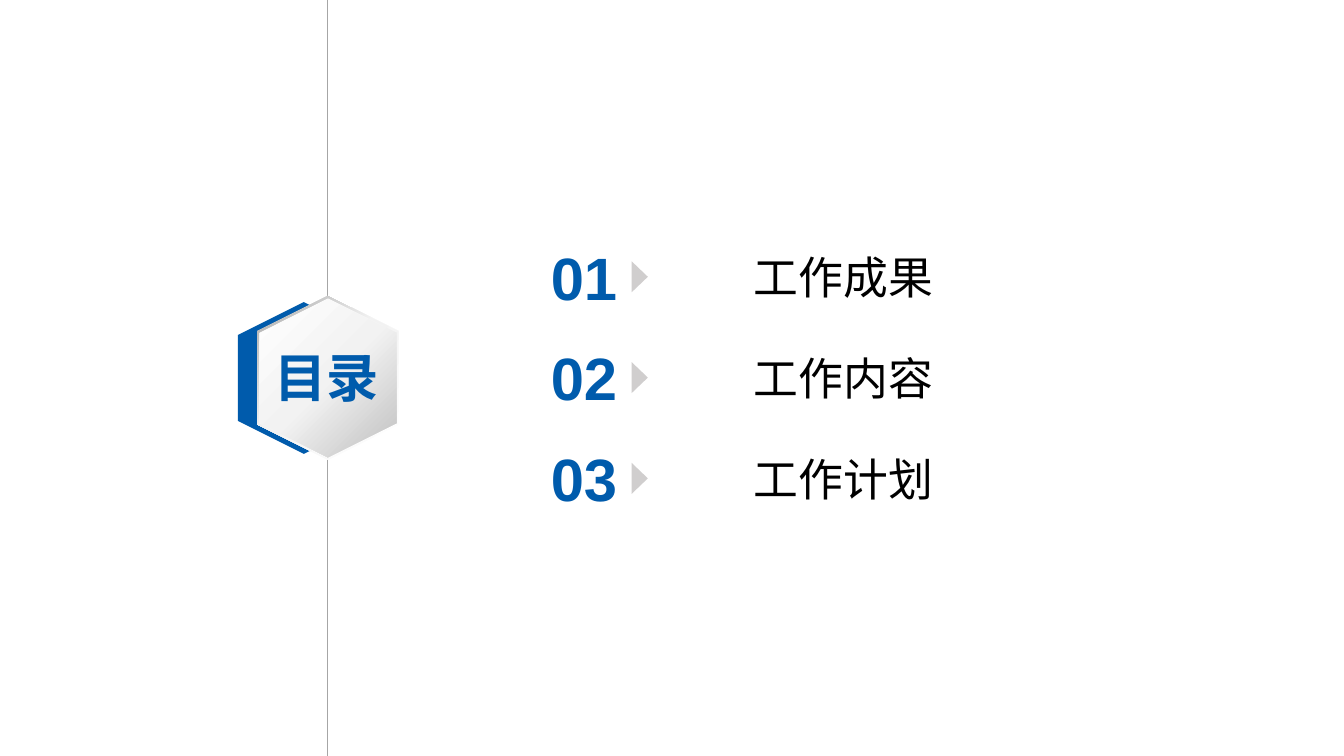
import pptx
import pptx.dml.color
import pptx.enum.shapes
import pptx.enum.text
import pptx.oxml
import pptx.oxml.ns
import pptx.util
from lxml import etree

WIDTH = 10
HEIGHT = WIDTH * 9 / 16
COLORS = {"blue": "005BAC", "rule": "A6A6A6", "arrow": "D0CECE", "text": "000000"}
RIM_STOPS = [(0, "FFFFFF"), (55, "F2F2F2"), (100, "A6A6A6")]
FACE_STOPS = [(0, "FFFFFF"), (51, "F2F2F2"), (100, "BFBFBF")]
LATIN, CJK = "Arial", "Noto Sans CJK SC"
SECTIONS = ["工作成果", "工作内容", "工作计划"]
FIRST_ROW, ROW_STEP = 2.06, 0.75
NUMBER_LEFT, ARROW_CENTER, LABEL_LEFT = 4, 4.76, 5.51
AXIS = 2.44

SHAPES = pptx.enum.shapes.MSO_SHAPE


def rgb(name):
    return pptx.dml.color.RGBColor.from_string(COLORS[name])


def place(shape, left, top, width, height):
    inches = pptx.util.Inches
    shape.left, shape.top = inches(left), inches(top)
    shape.width, shape.height = inches(width), inches(height)


def write_text(shape, text, size, font, color, bold=False, wrap=False):
    frame = shape.text_frame
    frame.text = text
    frame.word_wrap = wrap
    frame.auto_size = pptx.enum.text.MSO_AUTO_SIZE.SHAPE_TO_FIT_TEXT
    frame.vertical_anchor = pptx.enum.text.MSO_ANCHOR.TOP
    paragraph = frame.paragraphs[0]
    paragraph.alignment = pptx.enum.text.PP_ALIGN.LEFT
    run = paragraph.runs[0]
    run.font.size = pptx.util.Pt(size)
    run.font.name = font
    run.font.bold = bold
    run.font.color.rgb = rgb(color)
    east_asian = pptx.oxml.parse_xml(
        f'<a:ea {pptx.oxml.ns.nsdecls("a")} typeface="{font}"/>')
    run.font._element.find(pptx.oxml.ns.qn("a:latin")).addnext(east_asian)


def add_text(slide, text, left, top, width, height, **text_format):
    box = slide.shapes.add_textbox(0, 0, 0, 0)
    place(box, left, top, width, height)
    write_text(box, text, **text_format)


def add_turned_shape(slide, kind, center_x, center_y, width, height, color=None):
    """Add a borderless preset shape turned by a quarter, placed by its centre."""
    shape = slide.shapes.add_shape(kind, 0, 0, 0, 0)
    place(shape, center_x - width / 2, center_y - height / 2, width, height)
    shape.rotation = 90
    shape.shadow.inherit = False
    shape.line.fill.background()
    if color:
        shape.fill.solid()
        shape.fill.fore_color.rgb = rgb(color)
    return shape


def set_gradient(shape, stops, angle):
    """Fill with a three-stop gradient; the angle is clockwise in degrees."""
    stop_xml = "".join(
        f'<a:gs pos="{share * 1000}"><a:srgbClr val="{color}"/></a:gs>'
        for share, color in stops)
    gradient = pptx.oxml.parse_xml(
        f'<a:gradFill {pptx.oxml.ns.nsdecls("a")} rotWithShape="1">'
        f'<a:gsLst>{stop_xml}</a:gsLst>'
        f'<a:lin ang="{angle * 60000}" scaled="0"/></a:gradFill>')
    shape.element.spPr.find(pptx.oxml.ns.qn("a:prstGeom")).addnext(gradient)


def add_rule(slide):
    x = pptx.util.Inches(AXIS)
    rule = slide.shapes.add_connector(
        pptx.enum.shapes.MSO_CONNECTOR.STRAIGHT,
        x, pptx.util.Inches(-0.02), x, pptx.util.Inches(HEIGHT))
    rule.line.color.rgb = rgb("rule")
    rule.line.width = pptx.util.Pt(0.5)
    etree.SubElement(rule.element.spPr, pptx.oxml.ns.qn("a:effectLst"))


def add_badge(slide):
    middle = HEIGHT / 2
    add_turned_shape(slide, SHAPES.HEXAGON, 2.26, middle, 1.13, 0.98, "blue")
    rim = add_turned_shape(slide, SHAPES.HEXAGON, AXIS, middle, 1.22, 1.05)
    set_gradient(rim, RIM_STOPS, 135)
    face = add_turned_shape(slide, SHAPES.HEXAGON, AXIS, middle, 1.18, 1.02)
    set_gradient(face, FACE_STOPS, 315)


def add_title(slide):
    """Format the title and bring it in front of the badge."""
    title = slide.shapes.title
    place(title, 1.94, 2.52, 0.99, 0.57)
    write_text(title, "目录", size=28, font=CJK, color="blue", bold=True)
    slide.shapes.element.append(title.element)


def add_section(slide, index, label):
    center = FIRST_ROW + index * ROW_STEP
    add_text(slide, f"{index + 1:02d}", NUMBER_LEFT, center - 0.32, 0.7, 0.64,
             size=32, font=LATIN, color="blue", bold=True)
    add_turned_shape(slide, SHAPES.ISOSCELES_TRIANGLE,
                     ARROW_CENTER, center, 0.23, 0.12, "arrow")
    add_text(slide, label, LABEL_LEFT, center - 0.25, 1.72, 0.5,
             size=24, font=CJK, color="text", wrap=True)


def main():
    deck = pptx.Presentation()
    deck.slide_width = pptx.util.Inches(WIDTH)
    deck.slide_height = pptx.util.Inches(HEIGHT)
    slide = deck.slides.add_slide(deck.slide_layouts.get_by_name("Title Only"))
    add_rule(slide)
    add_badge(slide)
    add_title(slide)
    for index, label in enumerate(SECTIONS):
        add_section(slide, index, label)
    deck.save("out.pptx")


if __name__ == "__main__":
    main()
